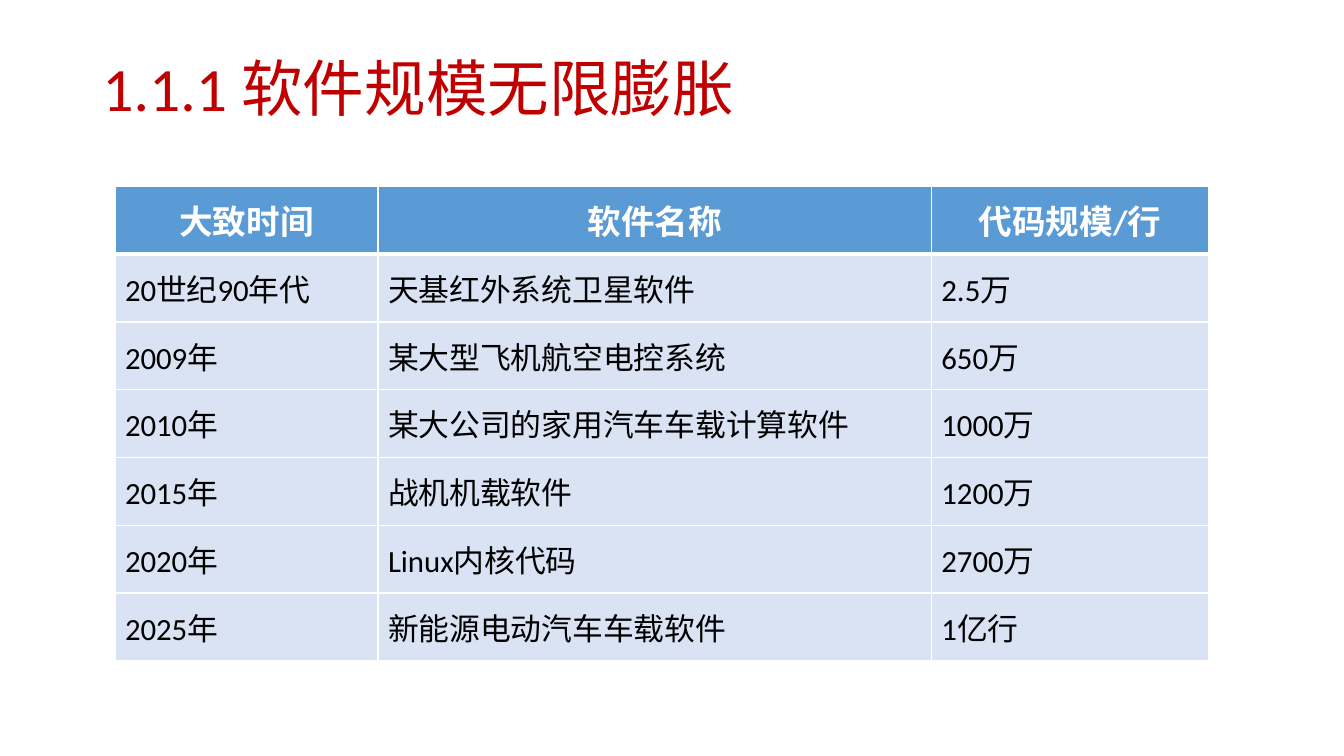
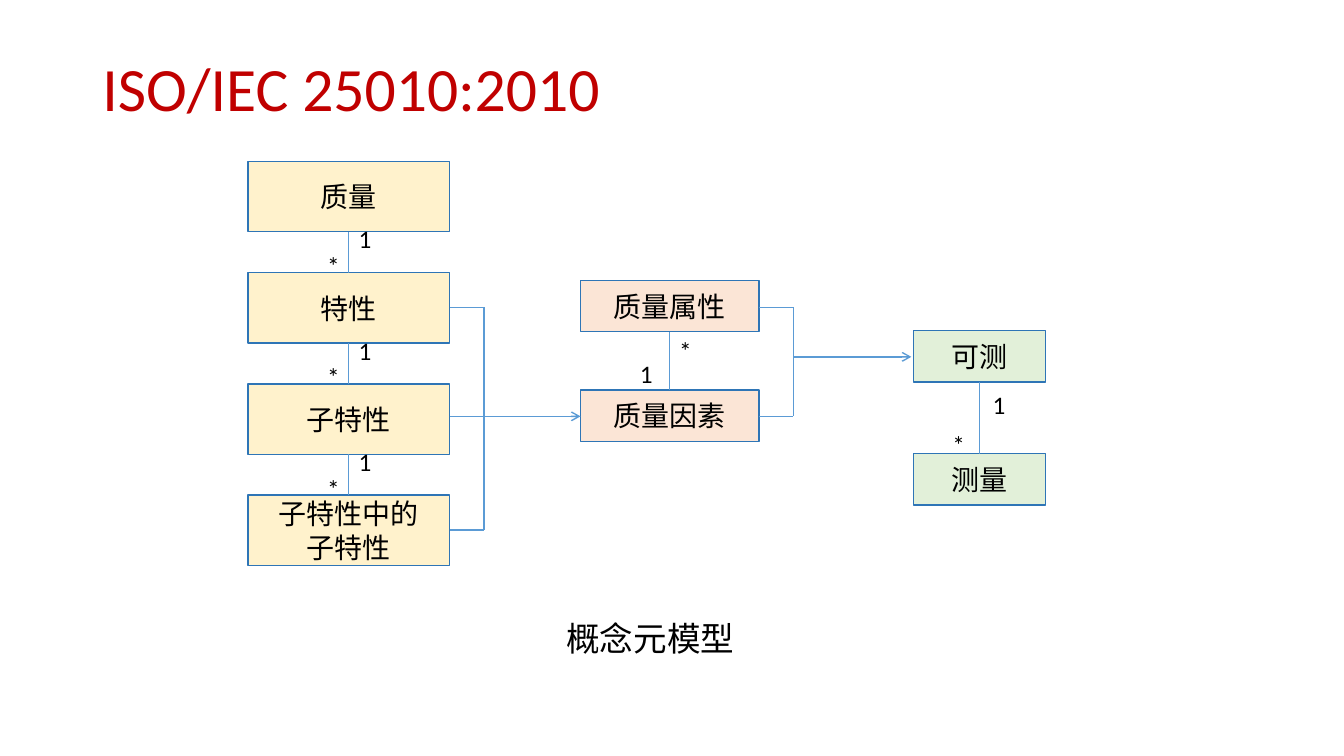
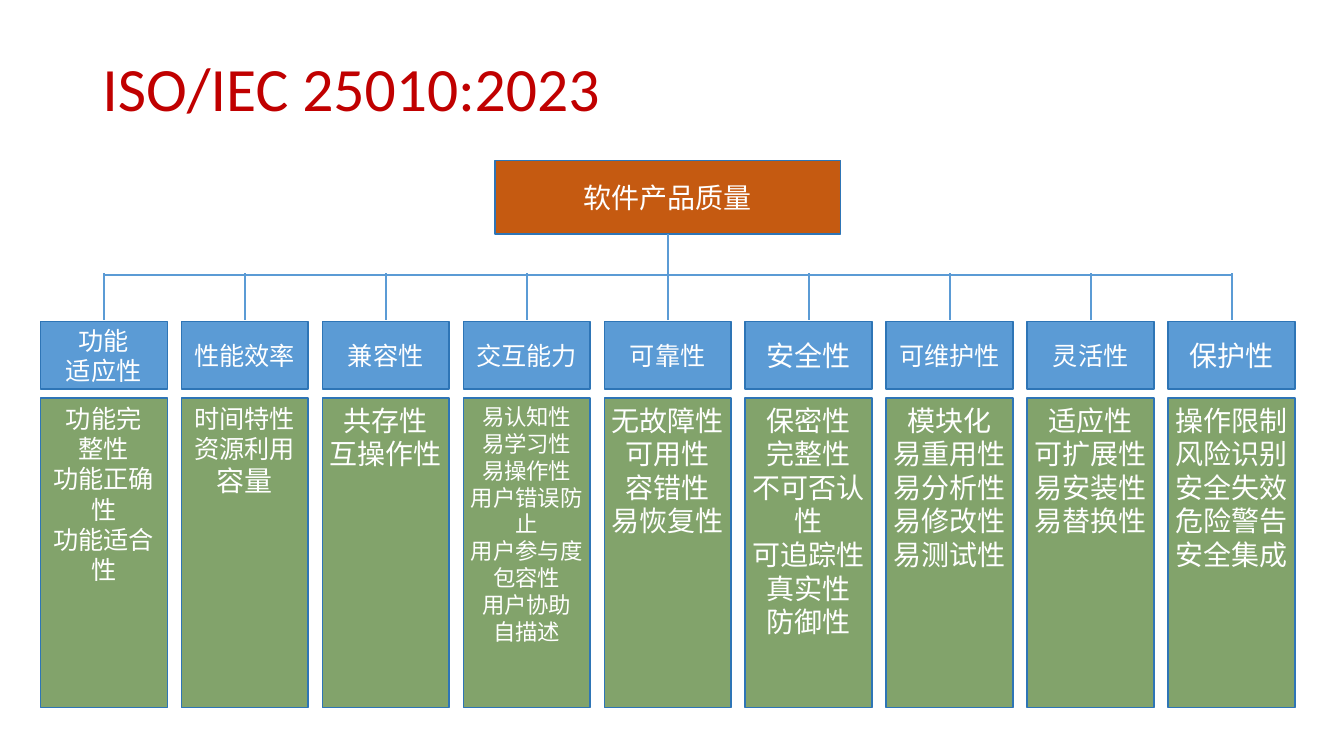
from dataclasses import dataclass

from pptx import Presentation
from pptx.dml.color import RGBColor
from pptx.enum.shapes import MSO_CONNECTOR, MSO_SHAPE
from pptx.enum.text import MSO_ANCHOR, MSO_AUTO_SIZE, PP_ALIGN
from pptx.oxml.ns import qn
from pptx.util import Pt

RECT, STRAIGHT = MSO_SHAPE.RECTANGLE, MSO_CONNECTOR.STRAIGHT
LEFT, CENTER = PP_ALIGN.LEFT, PP_ALIGN.CENTER
TOP, MIDDLE = MSO_ANCHOR.TOP, MSO_ANCHOR.MIDDLE
FIXED = MSO_AUTO_SIZE.NONE


@dataclass(frozen=True)
class Theme:
    font: str = "Calibri"
    red: str = "C00000"
    black: str = "000000"
    white: str = "FFFFFF"
    blue: str = "5B9BD5"
    edge: str = "2E75B6"
    pale: str = "DAE3F3"
    cream: str = "FFF2CC"
    peach: str = "FBE5D6"
    mint: str = "E2F0D9"
    rust: str = "C55A11"
    green: str = "548235"
    title: int = 44
    head: int = 24
    cell: int = 22
    body: int = 20
    small: int = 18
    tiny: int = 16


T = Theme()
rgb = RGBColor.from_string


def write(frame, text, size, ink=T.black, align=CENTER, bold=False, space=None, **form):
    """Fill a frame, one paragraph a line; form holds frame attributes."""
    for name, value in form.items():
        setattr(frame, name, value)
    frame.text = text
    for para in frame.paragraphs:
        para.alignment, para.line_spacing = align, space
        for run in para.runs:
            look = {"name": T.font, "size": Pt(size), "bold": bold}
            for name, value in look.items():
                setattr(run.font, name, value)
            run.font.color.rgb = rgb(ink)


def box(slide, at, fill, text, size, ink=T.black, **form):
    """Draw a bordered rectangle with text."""
    shape = slide.shapes.add_shape(RECT, *map(Pt, at))
    shape.shadow.inherit = False
    shape.fill.solid()
    shape.fill.fore_color.rgb = rgb(fill)
    shape.line.color.rgb = rgb(T.edge)
    shape.line.width = Pt(1)
    form = {"word_wrap": True, "vertical_anchor": MIDDLE, **form}
    write(shape.text_frame, text, size, ink, **form)
    return shape


deck = Presentation()
deck.slide_width, deck.slide_height = Pt(960), Pt(540)

# Titles
pages = []
for text in ("1.1.1 软件规模无限膨胀", "ISO/IEC 25010:2010", "ISO/IEC 25010:2023"):
    page = deck.slides.add_slide(deck.slide_layouts[5])
    title = page.shapes.title
    place = {"left": 66, "top": 28.8, "width": 828, "height": 73.4}
    for name, value in place.items():
        setattr(title, name, Pt(value))
    write(title.text_frame, text, T.title, T.red, LEFT, space=0.9,
          vertical_anchor=MIDDLE, auto_size=FIXED, word_wrap=True)
    pages.append(page)
growth, model, tree = pages

# Table of code sizes
rows = [
    ("大致时间", "软件名称", "代码规模/行"),
    ("20世纪90年代", "天基红外系统卫星软件", "2.5万"),
    ("2009年", "某大型飞机航空电控系统", "650万"),
    ("2010年", "某大公司的家用汽车车载计算软件", "1000万"),
    ("2015年", "战机机载软件", "1200万"),
    ("2020年", "Linux内核代码", "2700万"),
    ("2025年", "新能源电动汽车车载软件", "1亿行"),
]
widths, high = (187.9, 395.3, 198), 48.4
at = (82.1, 133.2, sum(widths), high * len(rows))
table = growth.shapes.add_table(len(rows), len(widths), *map(Pt, at)).table
for col, width in zip(table.columns, widths):
    col.width = Pt(width)
for r, row in enumerate(rows):
    table.rows[r].height = Pt(high)
    top = r == 0
    for c, text in enumerate(row):
        cell = table.cell(r, c)
        cell.vertical_anchor = MIDDLE
        props = cell._tc.get_or_add_tcPr()
        for side in "LRTB":
            thick = 3 if (r, side) in ((0, "B"), (1, "T")) else 1
            edge = props.makeelement(qn("a:ln" + side), {"w": str(Pt(thick))})
            props.append(edge)
            solid = edge.makeelement(qn("a:solidFill"), {})
            edge.append(solid)
            solid.append(solid.makeelement(qn("a:srgbClr"), {"val": T.white}))
        cell.fill.solid()
        cell.fill.fore_color.rgb = rgb(T.blue if top else T.pale)
        write(cell.text_frame, text, T.head if top else T.cell,
              T.white if top else T.black, CENTER if top else LEFT, top)

# Concept model: stacks of boxes, each with its links and counts
# x, y, width, height, step, fill, names, offsets of "1" and "*" from a box
stacks = [
    (177.1, 115.2, 144, 50.4, 79.5, T.cream,
     ("质量", "特性", "子特性", "子特性中的\n子特性"), (72, 41), (49.5, 60)),
    (414.7, 200.2, 127.4, 36.7, 78.4, T.peach,
     ("质量属性", "质量因素"), (35.3, 52.5), (63.4, 36)),
    (652.3, 236.2, 94.3, 36.7, 87.8, T.mint,
     ("可测", "测量"), (49.7, 38.1), (20.9, 66.9)),
]
lines = []  # slide, x1, y1, x2, y2, width, arrow
labels = [("概念元模型", 397.4, 437.8, 162, 36, T.head)]
for x, y, w, h, step, fill, names, one, many in stacks:
    for i, name in enumerate(names):
        top = y + i * step
        box(model, (x, top, w, h), fill, name, T.body)
        if i < len(names) - 1:
            mid = x + w / 2
            lines.append((model, mid, top + h, mid, top + step, 1, False))
            for mark, (dx, dy) in (("1", one), ("*", many)):
                labels.append((mark, x + dx, top + dy, 28.8, 28.8, T.small))
for text, x, y, w, h, size in labels:
    frame = model.shapes.add_textbox(*map(Pt, (x, y, w, h))).text_frame
    write(frame, text, size, align=LEFT, word_wrap=True)

# Brackets: box edge, spine, rows joined to the spine
for edge, spine, joins in ((321.1, 345.6, (219.6, 378.7)),
                           (542.1, 566.6, (219.6, 297.4))):
    lines += [(model, edge, y, spine, y, 1, False) for y in joins]
    lines.append((model, spine, joins[0], spine, joins[1], 1, False))
lines += [(model, 321.1, 297.4, 414.7, 297.4, 1, True),
          (model, 566.6, 254.9, 651, 254.9, 1, True)]

# Quality tree: head, its size, leaves, their size, size of the last leaf
parts = [
    ("功能\n适应性", T.small, "功能完\n整性\n功能正确性\n功能适合性", T.small, T.small),
    ("性能效率", T.small, "时间特性\n资源利用\n容量", T.small, T.body),
    ("兼容性", T.small, "共存性\n互操作性", T.body, T.body),
    ("交互能力", T.small,
     "易认知性\n易学习性\n易操作性\n用户错误防止\n用户参与度\n包容性\n用户协助\n自描述",
     T.tiny, T.tiny),
    ("可靠性", T.small, "无故障性\n可用性\n容错性\n易恢复性", T.body, T.body),
    ("安全性", T.body, "保密性\n完整性\n不可否认性\n可追踪性\n真实性\n防御性",
     T.body, T.body),
    ("可维护性", T.small, "模块化\n易重用性\n易分析性\n易修改性\n易测试性",
     T.body, T.body),
    ("灵活性", T.small, "适应性\n可扩展性\n易安装性\n易替换性", T.body, T.body),
    ("保护性", T.body, "操作限制\n风险识别\n安全失效\n危险警告\n安全集成",
     T.body, T.body),
]
first, pitch, wide, bar = 28.8, 100.7, 90.7, 196.6
tight = {"margin_left": Pt(2.9), "margin_right": Pt(2.9)}
box(tree, (353.5, 114.5, 247, 52.6), T.rust, "软件产品质量", T.body, T.white)
for i, (head, size, leaves, small, last) in enumerate(parts):
    x = first + i * pitch
    box(tree, (x, 229.7, wide, 48.2), T.blue, head, size, T.white, **tight)
    leaf = box(tree, (x, 284.4, wide, 221), T.green, leaves, small, T.white,
               vertical_anchor=TOP, **tight)
    leaf.text_frame.paragraphs[-1].runs[0].font.size = Pt(last)
    tint = leaf._element.spPr.find(qn("a:solidFill"))[0]
    tint.append(tint.makeelement(qn("a:alpha"), {"val": "73000"}))
    mid = x + wide / 2
    start = 167.1 if i == len(parts) // 2 else 195.2
    lines.append((tree, mid, start, mid, 228.4, 1.5, False))
left = first + wide / 2
lines.append((tree, left, bar, left + pitch * (len(parts) - 1), bar, 1.5, False))

# Links on both diagrams
for page, x1, y1, x2, y2, width, arrow in lines:
    link = page.shapes.add_connector(STRAIGHT, *map(Pt, (x1, y1, x2, y2)))
    link.line.color.rgb = rgb(T.blue)
    link.line.width = Pt(width)
    props = link._element.spPr
    if arrow:
        stroke = link.line._get_or_add_ln()
        stroke.append(stroke.makeelement(qn("a:tailEnd"), {"type": "arrow"}))
    props.append(props.makeelement(qn("a:effectLst"), {}))

deck.save("out.pptx")
